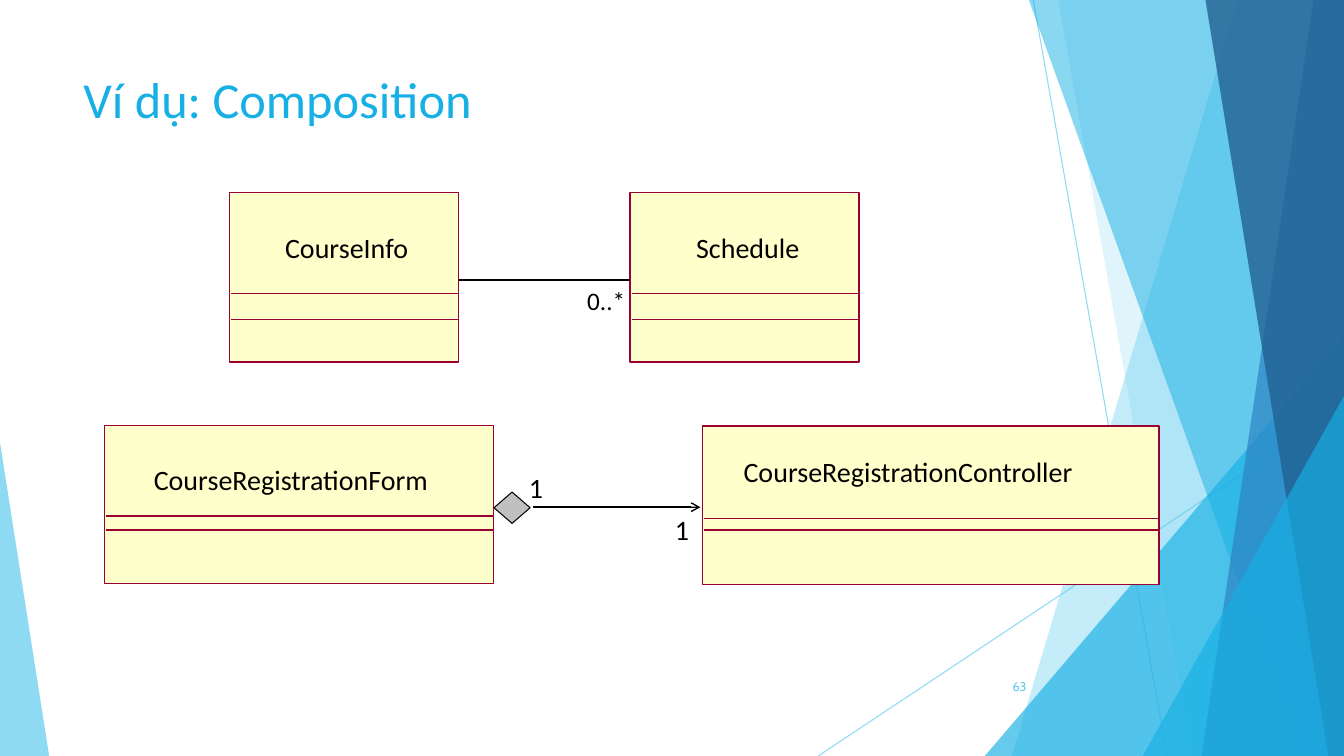
import pptx
import pptx.util
import pptx.dml.color
import pptx.enum.shapes
import pptx.enum.text
import lxml.etree

Cm = pptx.util.Cm
Pt = pptx.util.Pt
Shape = pptx.enum.shapes.MSO_SHAPE
Align = pptx.enum.text.PP_ALIGN
Anchor = pptx.enum.text.MSO_ANCHOR

WIDTH, HEIGHT = 33.87, 19.05
SKY, AZURE, BLUE, NAVY = "5FCBEF", "17B0E4", "2E83C3", "226292"
CREAM, CRIMSON, SILVER, BLACK = "FFFFCC", "990033", "C0C0C0", "000000"

RAYS = [(26.04, 0, 29.41, HEIGHT), (WIDTH, 10.24, 20.62, HEIGHT)]
BACKDROP = [
    ("band", 31.19, 25.5, SKY, 36),
    ("band", 26.67, 30.05, SKY, 20),
    ("triangle", (24.82, 8.46, 9.05, 10.59), 1, AZURE, 66),
    ("band", 25.93, 32.79, AZURE, 50),
    ("band", 33.1, 30.28, BLUE, 70),
    ("band", 30.38, 33.48, NAVY, 80),
    ("triangle", (28.8, 9.98, 5.07, 9.07), 1, AZURE, 66),
    ("triangle", (0, 11.15, 1.24, 7.9), 0, SKY, 70),
]
CLASSES = [
    ("CourseInfo", (5.79, 4.85, 5.77, 4.27), (7.39, 8.05), (6.45, 5.69, 4.57)),
    ("Schedule", (15.88, 4.85, 5.77, 4.27), (7.39, 8.05), (16.56, 5.69, 4.57)),
    ("CourseRegistrationForm", (2.64, 10.72, 9.8, 3.99), (13, 13.36), (2.21, 11.53, 10.24)),
    ("CourseRegistrationController", (17.7, 10.74, 11.51, 3.99), (13.06, 13.36), (17.5, 11.33, 10.77)),
]
MULTIPLICITIES = [
    ("0..*", (14.55, 7.06, 1.91, 1.02), 18),
    ("1", (13.08, 11.73, 1.07, 1.11), 20),
    ("1", (16.76, 12.8, 1.07, 1.11), 20),
]
ASSOCIATION = (11.56, 7.06, 15.88, 7.06)
COMPOSITION = (13.44, 12.78, 17.65, 12.78)
DIAMOND = (12.45, 12.4, 0.91, 0.79)

deck = pptx.Presentation()
deck.slide_width, deck.slide_height = Cm(WIDTH), Cm(HEIGHT)
page = deck.slides.add_slide(deck.slide_layouts[6])


def color(target, value, opacity=100):
    target.rgb = pptx.dml.color.RGBColor.from_string(value)
    if opacity < 100:
        choice = target._xFill.find(".//" + pptx.oxml.ns.qn("a:srgbClr"))
        alpha = lxml.etree.SubElement(choice, pptx.oxml.ns.qn("a:alpha"))
        alpha.set("val", str(opacity * 1000))


def paint(shape, fill, opacity=100, outline=None, weight=1):
    shape.shadow.inherit = False
    shape.fill.solid()
    color(shape.fill.fore_color, fill, opacity) if opacity == 100 else fade(shape, fill, opacity)
    if outline:
        color(shape.line.color, outline)
        shape.line.width = Pt(weight)
    else:
        shape.line.fill.background()


def fade(item, value, opacity):
    target = item.fill if hasattr(item, "fill") else item.line
    color(target.fore_color if hasattr(target, "fore_color") else target.color, value)
    choice = next(item._element.spPr.iter(pptx.oxml.ns.qn("a:srgbClr")))
    lxml.etree.SubElement(choice, pptx.oxml.ns.qn("a:alpha")).set("val", str(opacity * 1000))


def add_line(ends, stroke, weight=1, opacity=100, arrow=False):
    line = page.shapes.add_connector(
        pptx.enum.shapes.MSO_CONNECTOR.STRAIGHT, *[Cm(value) for value in ends])
    line.line.width = Pt(weight)
    if opacity < 100:
        fade(line, stroke, opacity)
    else:
        color(line.line.color, stroke)
    if arrow:
        outline = line._element.spPr.find(pptx.oxml.ns.qn("a:ln"))
        lxml.etree.SubElement(outline, pptx.oxml.ns.qn("a:tailEnd")).set("type", "arrow")
    lxml.etree.SubElement(line._element.spPr, pptx.oxml.ns.qn("a:effectLst"))


def add_shape(kind, area):
    return page.shapes.add_shape(kind, *[Cm(value) for value in area])


def add_text(text, area, size=20, font="Calibri", ink=BLACK, align=Align.LEFT, anchor=Anchor.TOP):
    box = page.shapes.add_textbox(*[Cm(value) for value in area])
    box.text_frame.word_wrap = True
    box.text_frame.vertical_anchor = anchor
    para = box.text_frame.paragraphs[0]
    para.alignment = align
    span = para.add_run()
    span.text = text
    span.font.size = Pt(size)
    span.font.name = font
    color(span.font.color, ink)


def add_band(top, bottom):
    builder = page.shapes.build_freeform(Cm(top), 0)
    corners = [(WIDTH, 0), (WIDTH, HEIGHT), (bottom, HEIGHT)]
    builder.add_line_segments([(Cm(x), Cm(y)) for x, y in corners], close=True)
    return builder.convert_to_shape()


def add_triangle(area, apex):
    triangle = add_shape(Shape.ISOSCELES_TRIANGLE, area)
    triangle.adjustments[0] = apex
    return triangle


for ray in RAYS:
    add_line(ray, SKY, weight=0.75, opacity=70)
for kind, first, second, tint, opacity in BACKDROP:
    build = add_band if kind == "band" else add_triangle
    paint(build(first, second), tint, opacity)

add_text("Ví dụ: Composition", (1.85, 1.6, 23.88, 3.66), size=36, ink=AZURE)
add_text("63", (23.5, 16.36, 2.62, 1.88), size=9, font="Cabin", ink=SKY,
         align=Align.RIGHT, anchor=Anchor.MIDDLE)

for name, area, dividers, label in CLASSES:
    left, top, width, height = area
    paint(add_shape(Shape.RECTANGLE, area), CREAM, outline=CRIMSON)
    for y in dividers:
        add_line((left + 0.04, y, left + width, y), CRIMSON)
    add_text(name, (*label, 1.11), align=Align.CENTER)

add_line(ASSOCIATION, BLACK)
add_line(COMPOSITION, BLACK, arrow=True)
paint(add_shape(Shape.DIAMOND, DIAMOND), SILVER, outline=BLACK, weight=0.75)
for text, area, size in MULTIPLICITIES:
    add_text(text, area, size=size)

deck.save("out.pptx")
